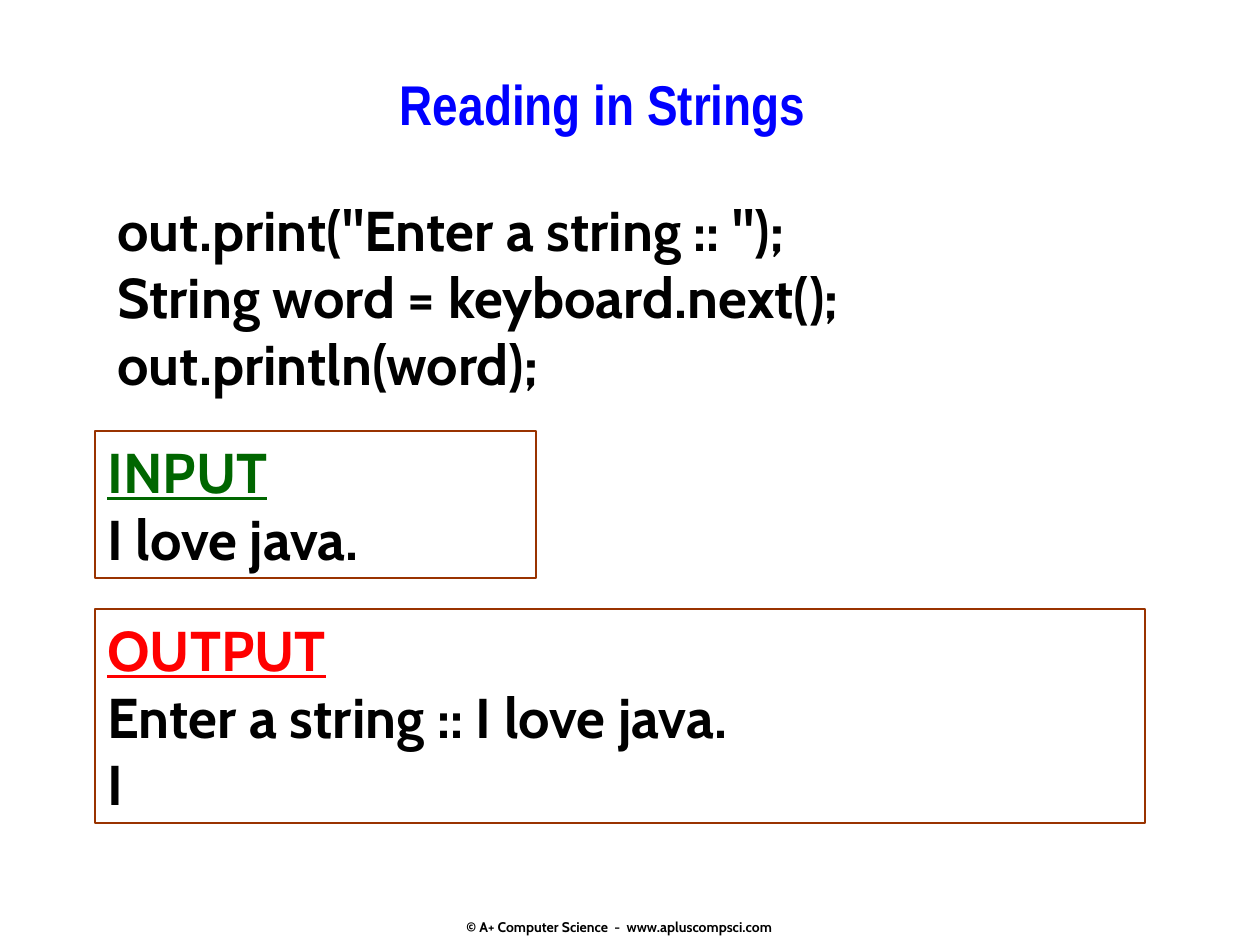
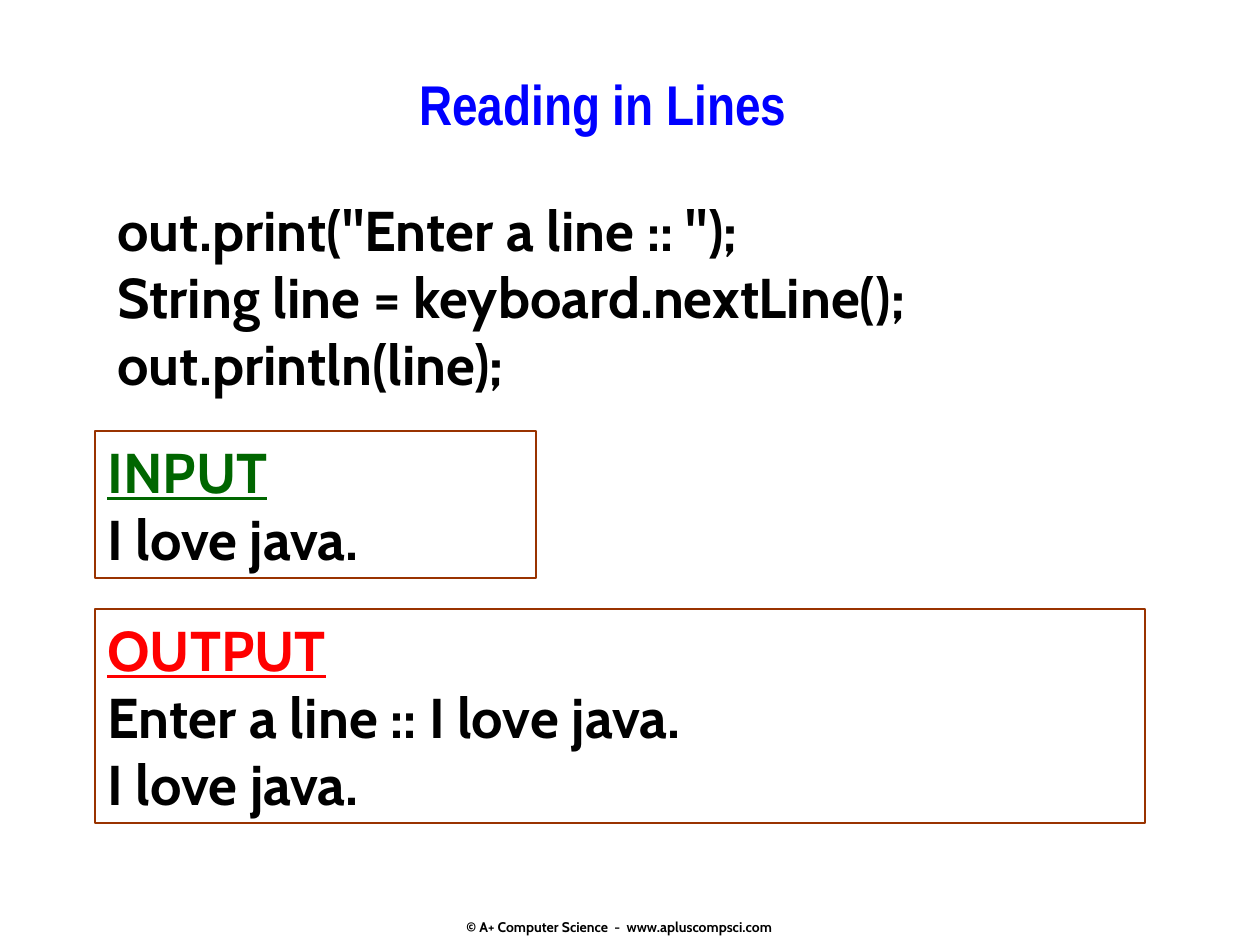
"""Build two slides on reading strings and lines from the keyboard."""
from pptx import Presentation
from pptx.dml.color import RGBColor
from pptx.enum.shapes import MSO_SHAPE
from pptx.enum.text import MSO_ANCHOR, MSO_AUTO_SIZE, PP_ALIGN
from pptx.util import Emu, Pt

PIXELS_PER_INCH = 126
BLACK, WHITE, BLUE = "000000", "FFFFFF", "0000FF"
GREEN, RED, BROWN = "006600", "FF0000", "993300"
TITLE_FONT, BODY_FONT = "Arial Narrow", "Cabin"
FOOTER = "© A+ Computer Science  -  www.apluscompsci.com"


def px(length):
    return Emu(round(length * 914400 / PIXELS_PER_INCH))


def color(value):
    return RGBColor.from_string(value)


class LessonDeck:
    def __init__(self):
        self.deck = Presentation()
        self.deck.slide_width = px(1260)
        self.deck.slide_height = px(945)
        self.page = None

    def set_lines(self, frame, lines, name=BODY_FONT, size=32, ink=BLACK, align=PP_ALIGN.LEFT):
        frame.vertical_anchor = MSO_ANCHOR.TOP
        for index, line in enumerate(lines):
            para = frame.paragraphs[0] if index == 0 else frame.add_paragraph()
            para.text = line
            para.alignment = align
            para.font.name = name
            para.font.size = Pt(size)
            para.font.bold = True
            para.font.color.rgb = color(ink)

    def add_page(self, title):
        self.page = self.deck.slides.add_slide(self.deck.slide_layouts[5])
        box = self.page.shapes.title
        box.left, box.top, box.width, box.height = px(220), px(63), px(766), px(105)
        frame = box.text_frame
        self.set_lines(frame, [title], TITLE_FONT, 32, BLUE, PP_ALIGN.CENTER)
        frame.word_wrap = False
        frame.auto_size = MSO_AUTO_SIZE.NONE
        self.add_footer()

    def add_footer(self):
        box = self.page.shapes.add_textbox(px(420), px(912), px(399), px(29))
        box.text_frame.word_wrap = True
        self.set_lines(box.text_frame, [FOOTER], size=8, align=PP_ALIGN.CENTER)

    def add_box(self, left, top, width, height, lines):
        box = self.page.shapes.add_shape(
            MSO_SHAPE.RECTANGLE, px(left), px(top), px(width), px(height))
        box.shadow.inherit = False
        box.text_frame.word_wrap = True
        box.text_frame.auto_size = MSO_AUTO_SIZE.SHAPE_TO_FIT_TEXT
        self.set_lines(box.text_frame, lines)
        return box

    def add_code(self, width, lines):
        box = self.add_box(105, 189, width, 214, lines)
        box.fill.solid()
        box.fill.fore_color.rgb = color(WHITE)
        box.line.fill.background()

    def add_console(self, top, width, height, heading, ink, lines):
        box = self.add_box(95, top, width, height, [heading, *lines])
        box.fill.background()
        box.line.color.rgb = color(BROWN)
        box.line.width = Pt(1)
        heading_font = box.text_frame.paragraphs[0].font
        heading_font.color.rgb = color(ink)
        heading_font.underline = True

    def add_lesson(self, title, code_width, kind, variable, method, result):
        typed = "I love java."
        prompt = f"Enter a {kind} :: "
        self.add_page(title)
        self.add_code(code_width, [
            f'out.print("{prompt}");',
            f"String {variable} = keyboard.{method}();",
            f"out.println({variable});",
        ])
        self.add_console(431, 441, 147, "INPUT", GREEN, [typed])
        self.add_console(609, 1050, 214, "OUTPUT", RED, [prompt + typed, result])


def main():
    lessons = LessonDeck()
    lessons.add_lesson("Reading in Strings", 1081, "string", "word", "next", "I")
    lessons.add_lesson("Reading in Lines", 1008, "line", "line", "nextLine", "I love java.")
    lessons.deck.save("out.pptx")


if __name__ == "__main__":
    main()
